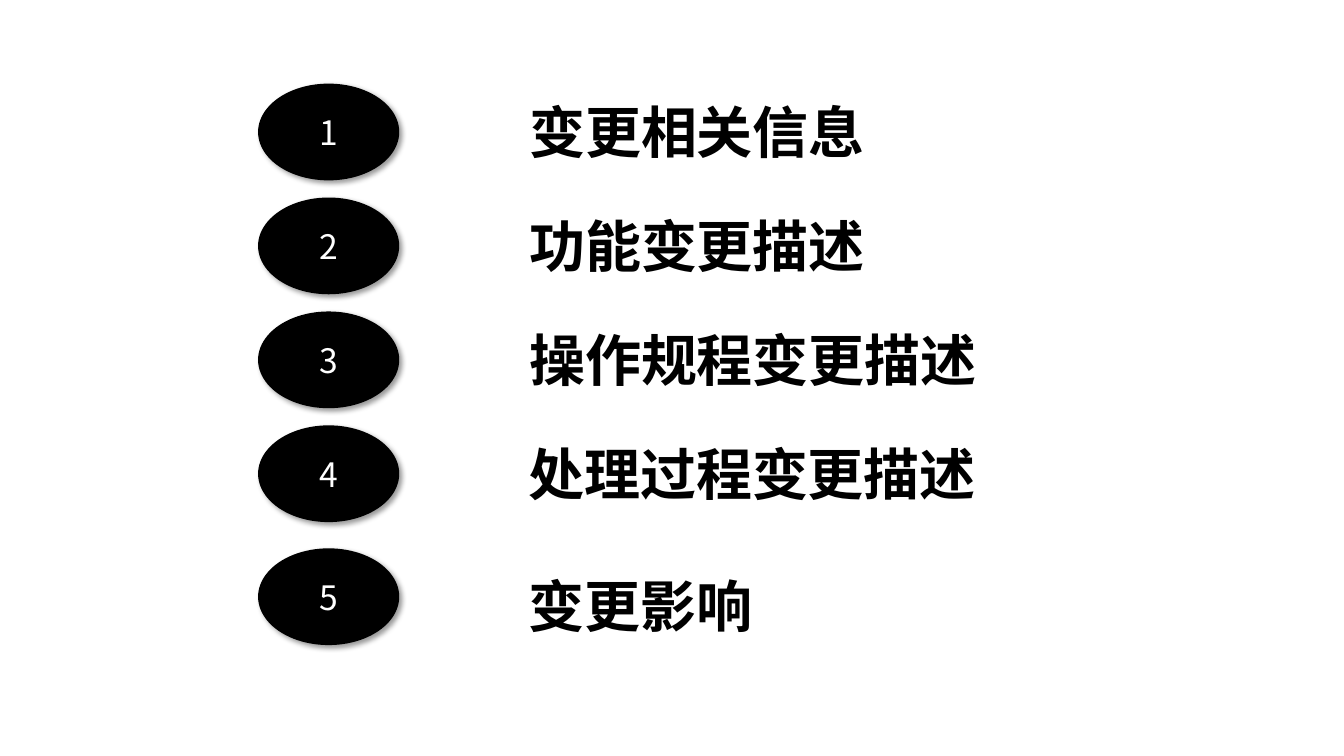
from dataclasses import dataclass

from lxml import etree
from pptx import Presentation
from pptx.dml.color import RGBColor
from pptx.enum.shapes import MSO_SHAPE
from pptx.enum.text import MSO_ANCHOR, MSO_AUTO_SIZE, PP_ALIGN
from pptx.oxml.ns import qn
from pptx.util import Inches, Pt

OVAL = MSO_SHAPE.OVAL
MIDDLE = MSO_ANCHOR.MIDDLE
GROW = MSO_AUTO_SIZE.SHAPE_TO_FIT_TEXT
LEFT, CENTER = PP_ALIGN.LEFT, PP_ALIGN.CENTER


@dataclass(frozen=True)
class Theme:
    font: str = "Noto Sans CJK SC"
    ink: RGBColor = RGBColor(0, 0, 0)
    paper: RGBColor = RGBColor(255, 255, 255)
    number_size: int = 24
    topic_size: int = 40


THEME = Theme()

# Agenda geometry, in inches
AGENDA_LEFT, AGENDA_TOP, ROW_PITCH = 2.56, 0.83, 1.13
IMPACT_TOP = 5.44
BADGE_WIDTH, BADGE_HEIGHT = 1.4, 0.96
TOPIC_OFFSET, TOPIC_HEIGHT = 2.59, 0.77
NESTED_OFFSET, NESTED_INDENT = 2.08, 0.5

# Topic, width of its box, nested one level down
TOPICS = [
    ("变更相关信息", 4.43, False),
    ("功能变更描述", 4.43, False),
    ("操作规程变更描述", 5.06, False),
    ("处理过程变更描述", 5.68, True),
]
IMPACT = ("变更影响", 4.43, True)


def write(paragraph, text, size, color, bold, align):
    paragraph.alignment = align
    run = paragraph.add_run()
    run.text = text
    formats = {"name": THEME.font, "size": Pt(size), "bold": bold}
    for attribute, value in formats.items():
        setattr(run.font, attribute, value)
    run.font.color.rgb = color
    east_asian = etree.SubElement(run.font._element, qn("a:ea"))
    east_asian.set("typeface", THEME.font)


def cast_shadow(shape):
    """Soft black shadow towards the lower right."""
    shape.shadow.inherit = False
    effects = shape._element.spPr.find(qn("a:effectLst"))
    shadow = etree.SubElement(effects, qn("a:outerShdw"))
    settings = {"blurRad": Pt(4), "dist": Pt(3), "dir": 45 * 60000,
                "algn": "tl", "rotWithShape": 0}
    for attribute, value in settings.items():
        shadow.set(attribute, str(value))
    black = etree.SubElement(shadow, qn("a:srgbClr"), val=str(THEME.ink))
    etree.SubElement(black, qn("a:alpha"), val="40000")


def add_badge(shapes, number, left, top):
    badge = shapes.add_shape(OVAL, Inches(left), Inches(top),
                             Inches(BADGE_WIDTH), Inches(BADGE_HEIGHT))
    badge.fill.solid()
    badge.fill.fore_color.rgb = THEME.ink
    badge.line.fill.background()
    cast_shadow(badge)
    badge.text_frame.vertical_anchor = MIDDLE
    write(badge.text_frame.paragraphs[0], str(number), THEME.number_size,
          THEME.paper, False, CENTER)


def add_topic(shapes, text, left, top, width, nested):
    topic = shapes.add_textbox(Inches(left), Inches(top),
                               Inches(width), Inches(TOPIC_HEIGHT))
    topic.text_frame.word_wrap = True
    topic.text_frame.auto_size = GROW
    paragraph = topic.text_frame.paragraphs[0]
    if nested:
        paragraph.level = 1
        properties = paragraph._p.get_or_add_pPr()
        properties.set("marL", str(Inches(NESTED_INDENT)))
        properties.set("indent", "0")
    write(paragraph, text, THEME.topic_size, THEME.ink, True, LEFT)


def add_row(shapes, number, entry, left, top, topic_drop):
    text, width, nested = entry
    add_badge(shapes, number, left, top)
    offset = NESTED_OFFSET if nested else TOPIC_OFFSET
    add_topic(shapes, text, left + offset, top + topic_drop, width, nested)


def add_agenda(slide, left, top):
    # Grouped, evenly spaced rows
    rows = slide.shapes.add_group_shape().shapes
    for index, entry in enumerate(TOPICS):
        add_row(rows, index + 1, entry, left, top + index * ROW_PITCH, 0.09)
    # Closing row, set slightly apart
    add_row(slide.shapes, len(TOPICS) + 1, IMPACT, left, IMPACT_TOP, 0.18)


def main():
    deck = Presentation()
    deck.slide_width, deck.slide_height = Inches(13.33), Inches(7.5)
    slide = deck.slides.add_slide(deck.slide_layouts[6])
    slide.background.fill.solid()
    slide.background.fill.fore_color.rgb = THEME.paper
    add_agenda(slide, AGENDA_LEFT, AGENDA_TOP)
    deck.save("out.pptx")


if __name__ == "__main__":
    main()
